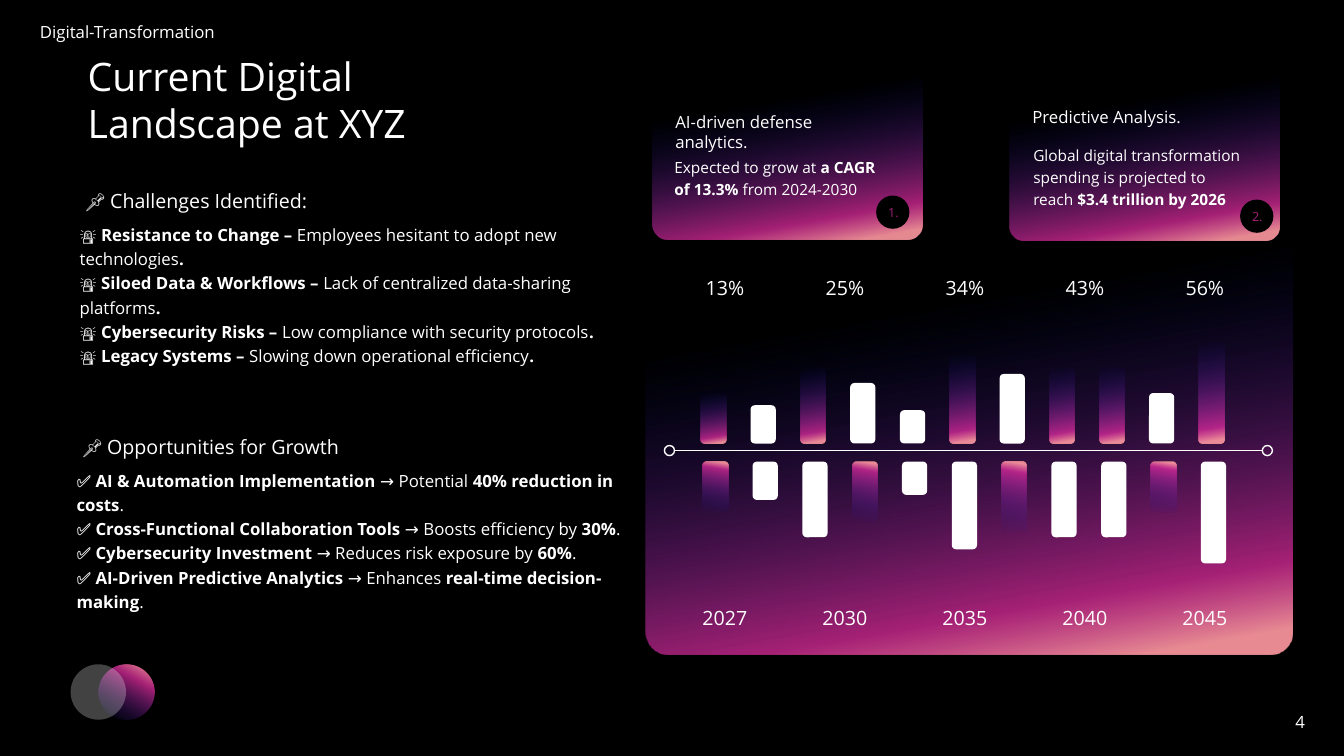
from pptx import Presentation
from pptx.enum.shapes import MSO_CONNECTOR, MSO_SHAPE
from pptx.enum.text import MSO_ANCHOR, MSO_AUTO_SIZE, PP_ALIGN
from pptx.dml.color import RGBColor
from pptx.oxml import parse_xml
from pptx.oxml.ns import nsdecls, qn
from pptx.util import Inches, Pt

# Content: text between asterisks is bold
TITLE = "Current Digital Landscape at XYZ"
RISKS = [
    "*🚨 Resistance to Change – *Employees hesitant to adopt new technologies*.*",
    "*🚨 Siloed Data & Workflows – *Lack of centralized data-sharing platforms*.*",
    "*🚨 Cybersecurity Risks – *Low compliance with security protocols*.*",
    "*🚨 Legacy Systems – *Slowing down operational efficiency*.*",
]
GAINS = [
    "*✅ AI & Automation Implementation* → Potential *40% reduction in costs*.",
    "✅ *Cross-Functional Collaboration Tools* → Boosts efficiency by *30%*.",
    "✅ *Cybersecurity Investment* → Reduces risk exposure by *60%*.",
    "✅ *AI-Driven Predictive Analytics* → Enhances *real-time decision-making*.",
]
# heading, heading box, body, body box, card box, corner, badge left and top
CARDS = [
    ("AI-driven defense analytics.", (6.6, 1.06, 2.03, 0.5),
     "Expected to grow at *a CAGR of 13.3%* from 2024-2030",
     (6.59, 1.48, 2.26, 0.53), (6.47, 0.6, 2.68, 1.78), 0.088, (8.69, 1.94)),
    ("Predictive Analysis.", (10.14, 1.01, 2.17, 0.3),
     "Global digital transformation spending is projected to reach *$3.4 trillion by 2026*",
     (10.15, 1.36, 2.26, 0.75), (10.01, 0.61, 2.68, 1.78), 0.082, (12.3, 1.98)),
]
MARKS = [("13%", "2027"), ("25%", "2030"), ("34%", "2035"),
         ("43%", "2040"), ("56%", "2045")]
# bar height, then colour above and below the axis: g glow, w white
BARS = [(0.49, "gg"), (0.38, "ww"), (0.75, "gw"), (0.6, "wg"),
        (0.33, "ww"), (0.87, "gw"), (0.69, "wg"), (0.75, "gw"),
        (0.75, "gw"), (0.5, "wg"), (1.01, "gw")]

# Gradients: angle, then position, colour and opacity of each stop
END = [(83, "ED2FA9", 69), (95, "FF99A2", 90)]
PANEL = (80, [(27, "0C1A9C", 0), *END])
GLOW = (80, [(0, "0C1A9C", 0), *END])
DISC = (300, [(0, "0C1A9C", 0), (70, "ED2FA9", 69), (94, "FF99A2", 90)])

deck = Presentation()
deck.slide_width, deck.slide_height = Inches(13.33), Inches(7.5)
slide = deck.slides.add_slide(deck.slide_layouts[3])
shapes = slide.shapes


def paint(fill, color):
    fill.solid()
    fill.fore_color.rgb = RGBColor.from_string(color)


def blend(shape, angle, stops):
    """Give a shape a gradient with opacity."""
    shape.fill.background()
    marks = "".join(
        f'<a:gs pos="{pos * 1000}"><a:srgbClr val="{color}">'
        f'<a:alpha val="{alpha * 1000}"/></a:srgbClr></a:gs>'
        for pos, color, alpha in stops)
    grad = parse_xml(
        f'<a:gradFill {nsdecls("a")} rotWithShape="1"><a:gsLst>{marks}</a:gsLst>'
        f'<a:lin ang="{angle * 60000}" scaled="0"/></a:gradFill>')
    props = shape.element.spPr
    props.replace(props.find(qn("a:noFill")), grad)


def draw(kind, box, fill=None, line=None, corner=None):
    shape = shapes.add_shape(kind, *map(Inches, box))
    shape.shadow.inherit = False
    if isinstance(fill, tuple):
        blend(shape, *fill)
    elif fill:
        paint(shape.fill, fill)
    else:
        shape.fill.background()
    if line:
        paint(shape.line.fill, line)
        shape.line.width = Pt(1)
    else:
        shape.line.fill.background()
    if corner:
        shape.adjustments[0] = corner
    return shape


def write(box, lines, size=12, color="FFFFFF", align=PP_ALIGN.LEFT,
          space=1.0, holder=None):
    """Write lines into a placeholder or a new text box."""
    item = holder or shapes.add_textbox(0, 0, 0, 0)
    item.left, item.top, item.width, item.height = map(Inches, box)
    frame = item.text_frame
    frame.word_wrap = True
    frame.auto_size = MSO_AUTO_SIZE.NONE
    frame.vertical_anchor = MSO_ANCHOR.TOP
    for row, line in enumerate([lines] if isinstance(lines, str) else lines):
        para = frame.add_paragraph() if row else frame.paragraphs[0]
        para.alignment, para.line_spacing = align, space
        para.space_before = Pt(0)
        if holder:
            props = para._p.get_or_add_pPr()
            props.set("marL", "0")
            props.set("indent", "0")
            props.append(parse_xml(f'<a:buNone {nsdecls("a")}/>'))
        for part, text in enumerate(line.split("*")):
            if text:
                run = para.add_run()
                run.text = text
                run.font.name, run.font.size = "Open Sans", Pt(size)
                run.font.bold = part % 2 == 1
                paint(run.font.fill, color)


# Background, header and page number
paint(slide.background.fill, "000000")
write((0.13, 0.17, 2.27, 0.3), "Digital-Transformation", align=PP_ALIGN.CENTER)
write((12.63, 7.01, 0.53, 0.3), "4", align=PP_ALIGN.CENTER)

# Title and the two lists
title, left, right = slide.placeholders
write((0.77, 0.47, 3.67, 1.04), TITLE, size=28, holder=title)
write((0.75, 1.78, 3.11, 0.36), "📌 Challenges Identified:", size=14, space=1.2)
write((0.69, 2.14, 5.35, 1.78), RISKS, space=1.2, holder=left)
write((0.72, 4.22, 3.51, 0.36), "📌 Opportunities for Growth", size=14, space=1.2)
write((0.66, 4.58, 5.77, 1.54), GAINS, space=1.2, holder=right)

# Chart panel with bars above and below the axis
RECT, OVAL = MSO_SHAPE.ROUNDED_RECTANGLE, MSO_SHAPE.OVAL
FILLS = {"g": GLOW, "w": "FFFFFF"}
draw(RECT, (6.4, 2.05, 6.42, 4.44), PANEL, corner=0.052)
for col, (tall, (above, below)) in enumerate(BARS):
    x = 6.95 + col * 4.94 / 10
    draw(RECT, (x, 4.4 - tall, 0.25, tall), FILLS[above])
    bar = draw(RECT, (x + 0.02, 4.58, 0.25, tall), FILLS[below])
    bar.element.spPr.get_or_add_xfrm().set("flipV", "1")

# Axis with ring ends
axis = shapes.add_connector(MSO_CONNECTOR.STRAIGHT, Inches(6.69), Inches(4.47),
                            Inches(12.52), Inches(4.47))
paint(axis.line.fill, "FFFFFF")
axis.line.width = Pt(1)
axis.element.spPr.append(parse_xml(f'<a:effectLst {nsdecls("a")}/>'))
for x in (6.59, 12.52):
    draw(OVAL, (x, 4.42, 0.1, 0.1), line="FFFFFF")

# Shares and years
for col, pair in enumerate(MARKS):
    for y, text in zip((2.69, 5.96), pair):
        write((6.75 + col * 1.19, y, 0.88, 0.34), text, size=14,
              color="FEFEFE", align=PP_ALIGN.CENTER)

# Cards with numbered badges
for num, (head, top, body, low, box, corner, (x, y)) in enumerate(CARDS, 1):
    draw(RECT, box, PANEL, corner=corner)
    write(top, head, color="FEFEFE")
    write(low, body, size=11, space=1.2)
    draw(OVAL, (x, y, 0.33, 0.33), "000000")
    write((x + 0.01, y + 0.04, 0.32, 0.25), f"{num}.", size=9,
          color="A32074", align=PP_ALIGN.CENTER)

# Overlapping discs
draw(OVAL, (0.98, 6.59, 0.55, 0.55), DISC)
draw(OVAL, (0.7, 6.59, 0.55, 0.55),
     (0, [(0, "FFFFFF", 25), (100, "FFFFFF", 25)]))

deck.save("out.pptx")
